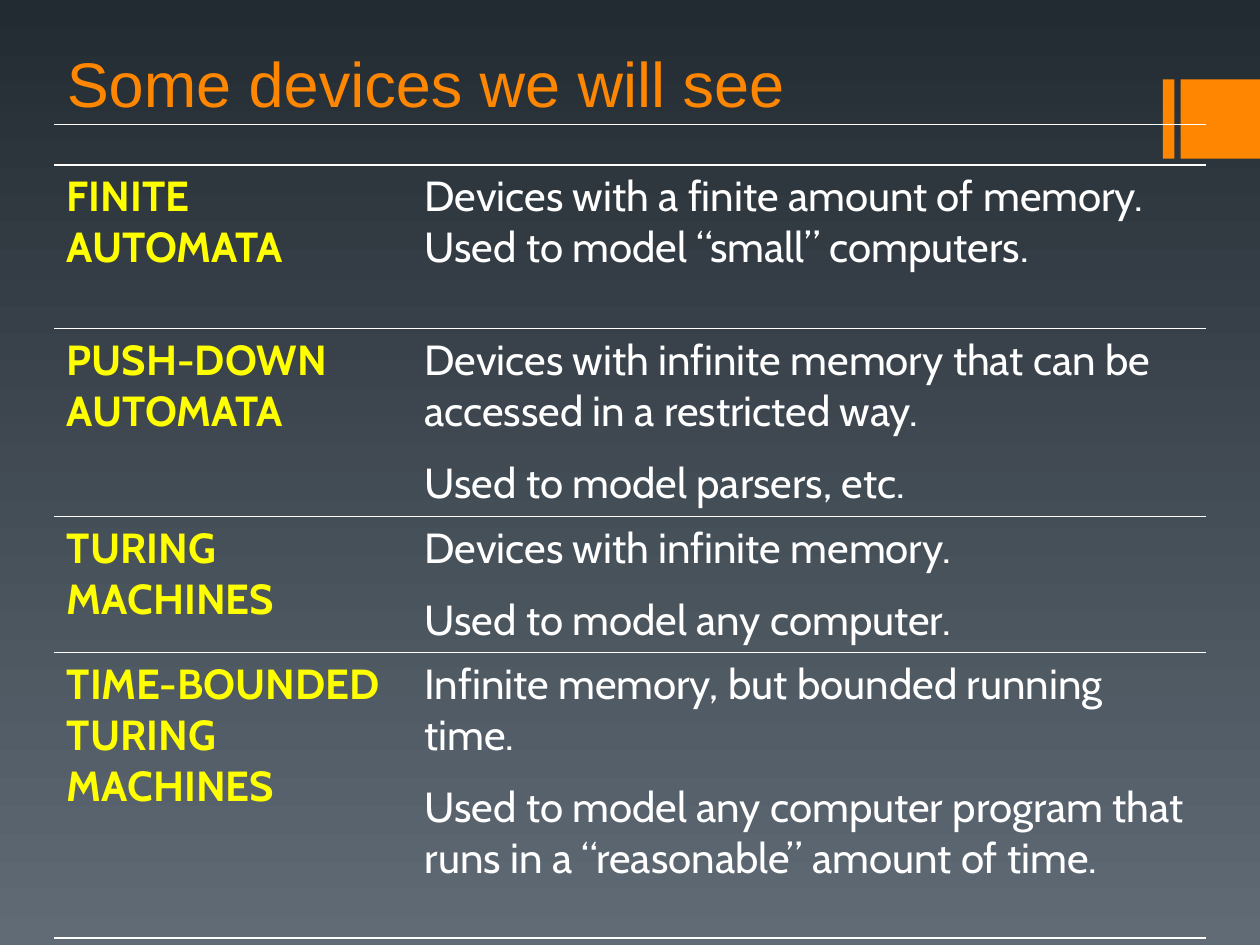
"""Build a slide that lists models of computation in a ruled two-column table."""
from lxml.etree import SubElement
from pptx import Presentation
from pptx.dml.color import RGBColor
from pptx.enum.shapes import MSO_CONNECTOR as CONNECTOR, MSO_SHAPE as SHAPE
from pptx.enum.text import MSO_ANCHOR as ANCHOR, MSO_AUTO_SIZE as AUTO_SIZE, PP_ALIGN as ALIGN
from pptx.oxml.ns import qn
from pptx.util import Inches, Pt

ORANGE, YELLOW, WHITE = "FF8600", "FFFF00", "FFFFFF"
LEFT, WIDTH = 0.43, 9.14
NO_GRID_STYLE = "{2D5ABB26-0587-4C30-8999-92F81FD0307C}"


def add_run(paragraph, text, font_name, size, color, bold=False):
    run = paragraph.add_run()
    run.text = text
    run.font.name = font_name
    run.font.size = Pt(size)
    run.font.bold = bold
    run.font.color.rgb = RGBColor.from_string(color)


def add_border(cell, side, points):
    border = SubElement(cell._tc.get_or_add_tcPr(), qn(f"a:{side}"), w=str(Pt(points)))
    fill = SubElement(border, qn("a:solidFill"))
    SubElement(fill, qn("a:srgbClr"), val=WHITE)


presentation = Presentation()
presentation.slide_width = Inches(10)
presentation.slide_height = Inches(7.5)
slide = presentation.slides.add_slide(presentation.slide_layouts[5])

background = slide.background.fill
background.gradient()
background.gradient_angle = 270
for stop, color in zip(background.gradient_stops, ["232B32", "606B76"]):
    stop.color.rgb = RGBColor.from_string(color)

for left, width in [(9.23, 0.09), (9.37, 0.63)]:
    bar = slide.shapes.add_shape(
        SHAPE.RECTANGLE, Inches(left), Inches(0.63), Inches(width), Inches(0.63))
    bar.shadow.inherit = False
    bar.fill.solid()
    bar.fill.fore_color.rgb = RGBColor.from_string(ORANGE)
    bar.line.fill.background()

rule = slide.shapes.add_connector(
    CONNECTOR.STRAIGHT, Inches(LEFT), Inches(0.99), Inches(LEFT + WIDTH), Inches(0.99))
rule.line.color.rgb = RGBColor.from_string(WHITE)
rule.line.width = Pt(0.75)
SubElement(rule._element.spPr, qn("a:effectLst"))

title = slide.shapes.title
title.left, title.top = Inches(LEFT), Inches(0.28)
title.width, title.height = Inches(WIDTH), Inches(0.72)
title.text_frame.vertical_anchor = ANCHOR.BOTTOM
title.text_frame.auto_size = AUTO_SIZE.NONE
title.text_frame.word_wrap = True
title_paragraph = title.text_frame.paragraphs[0]
title_paragraph.alignment = ALIGN.LEFT
add_run(title_paragraph, "Some devices we will see", "Arial", 36, ORANGE)

devices = [
    (1.3, "FINITE AUTOMATA",
     ["Devices with a finite amount of memory.\nUsed to model “small” computers."]),
    (1.49, "PUSH-DOWN AUTOMATA",
     ["Devices with infinite memory that can be accessed in a restricted way.",
      "Used to model parsers, etc."]),
    (1.07, "TURING MACHINES",
     ["Devices with infinite memory.", "Used to model any computer."]),
    (2.27, "TIME-BOUNDED TURING MACHINES",
     ["Infinite memory, but bounded running time.",
      "Used to model any computer program that runs in a “reasonable” amount of time."]),
]
table_height = sum(height for height, name, description in devices)
table_frame = slide.shapes.add_table(
    len(devices), 2, Inches(LEFT), Inches(1.31), Inches(WIDTH), Inches(table_height))
table = table_frame.table
table.first_row = table.horz_banding = False
table._tbl.tblPr.find(qn("a:tableStyleId")).text = NO_GRID_STYLE
for column, width in zip(table.columns, [2.84, 6.3]):
    column.width = Inches(width)

last_row = len(devices) - 1
for row_index, (height, name, description) in enumerate(devices):
    table.rows[row_index].height = Inches(height)
    columns = [([name], YELLOW, True), (description, WHITE, False)]
    for column_index, (texts, color, bold) in enumerate(columns):
        cell = table.cell(row_index, column_index)
        add_border(cell, "lnT", 1.08 if row_index == 0 else 0.45)
        add_border(cell, "lnB", 1.08 if row_index == last_row else 0.45)
        cell.fill.background()
        for text_index, text in enumerate(texts):
            frame = cell.text_frame
            paragraph = frame.add_paragraph() if text_index else frame.paragraphs[0]
            paragraph.space_before = Pt(12)
            for line_index, line in enumerate(text.split("\n")):
                if line_index:
                    paragraph.add_line_break()
                add_run(paragraph, line, "Cabin", 24, color, bold)

presentation.save("out.pptx")
